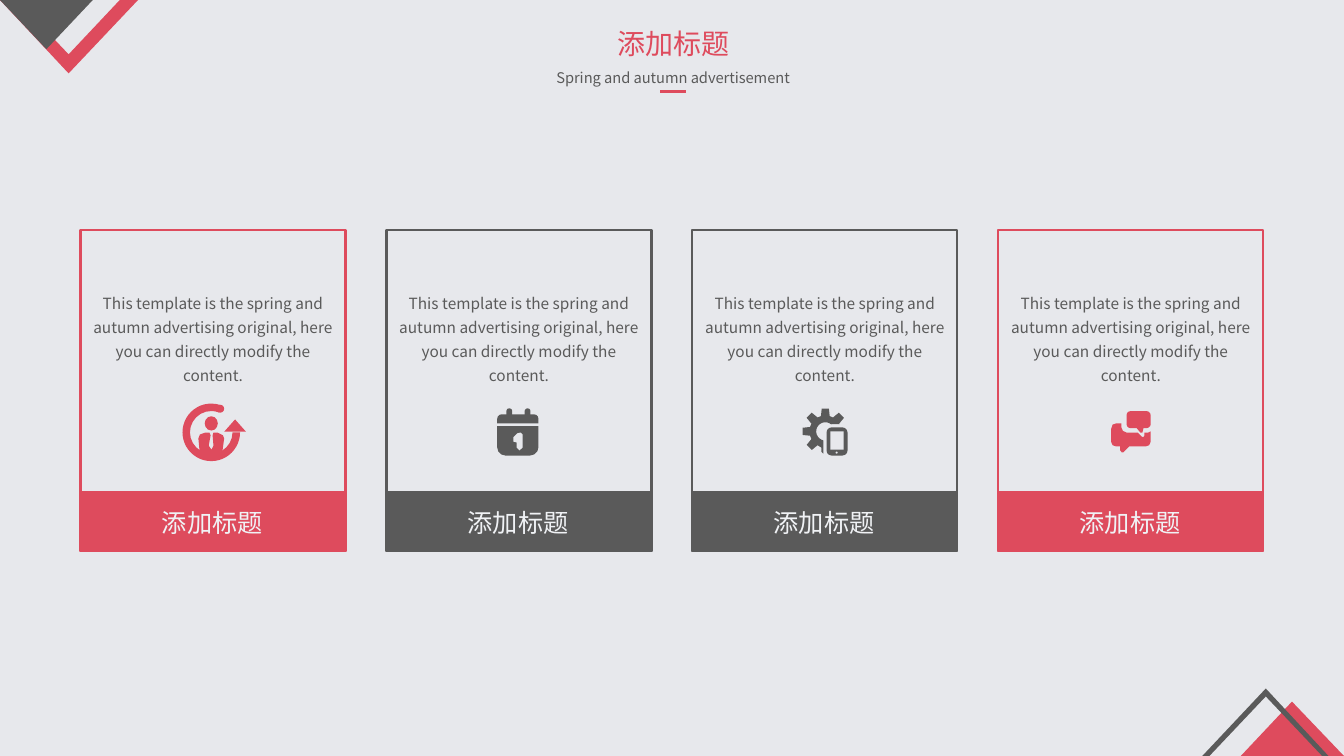
from math import cos, radians, sin

from lxml import etree
from pptx import Presentation
from pptx.dml.color import RGBColor
from pptx.enum.shapes import MSO_CONNECTOR as Line, MSO_SHAPE as Shape
from pptx.enum.text import MSO_ANCHOR as Anchor, MSO_AUTO_SIZE as AutoSize, PP_ALIGN as Align
from pptx.oxml.ns import qn
from pptx.util import Cm, Pt

RED, GREY, PAPER, WHITE = "DE4B5D", "5A5A5A", "E7E8EC", "F0F2F5"
FONT = "Noto Sans CJK SC"
WIDTH, HEIGHT = 33.87, 19.05
CARD_LEFT, CARD_TOP, CARD_W, CARD_H = 2.03, 5.79, 6.68, 8.1
BAND_TOP, BAND_H = 12.39, 1.5
LABEL = "添加标题"
BODY = ("This template is the spring and autumn advertising original, "
        "here you can directly modify the content.")


def rgb(value):
    return RGBColor.from_string(value)


def polar(center, radius, angle):
    return (center[0] + radius * cos(radians(angle)),
            center[1] + radius * sin(radians(angle)))


class Deck:
    """Holds the presentation, the current slide and the house style."""

    def __init__(self):
        self.prs = Presentation()
        self.prs.slide_width, self.prs.slide_height = Cm(WIDTH), Cm(HEIGHT)
        self.s = self.prs.slides.add_slide(self.prs.slide_layouts[5])
        self.s.background.fill.solid()
        self.s.background.fill.fore_color.rgb = rgb(PAPER)
        self.x0 = 0  # left edge that shapes are measured from

    def paint(self, sp, fill, line=None):
        sp.shadow.inherit = False
        if fill:
            sp.fill.solid()
            sp.fill.fore_color.rgb = rgb(fill)
        else:
            sp.fill.background()
        if line:
            sp.line.color.rgb = rgb(line)
            sp.line.width = Pt(1.5)
        else:
            sp.line.fill.background()

    def shape(self, kind, x, y, w, h, fill, line=None, adjust=()):
        sp = self.s.shapes.add_shape(kind, Cm(self.x0 + x), Cm(y), Cm(w), Cm(h))
        for i, value in enumerate(adjust):
            sp.adjustments[i] = value
        self.paint(sp, fill, line)

    def outline(self, points, fill):
        pts = [(Cm(self.x0 + x), Cm(y)) for x, y in points]
        builder = self.s.shapes.build_freeform(*pts[0])
        builder.add_line_segments(pts[1:], close=True)
        self.paint(builder.convert_to_shape(), fill)

    def set_text(self, sp, text, size, color, wrap=True, spacing=None, align=Align.CENTER):
        tf = sp.text_frame
        frame = {"word_wrap": wrap, "auto_size": AutoSize.NONE, "vertical_anchor": Anchor.TOP}
        for name, value in frame.items():
            setattr(tf, name, value)
        p = tf.paragraphs[0]
        p.alignment, p.line_spacing = align, spacing
        r = p.add_run()
        r.text = text
        for name, value in {"name": FONT, "size": Pt(size)}.items():
            setattr(r.font, name, value)
        r.font.color.rgb = rgb(color)
        etree.SubElement(r._r.get_or_add_rPr(), qn("a:ea"), typeface=FONT)

    def title(self, text, x, y, w, h, size, color):
        sp = self.s.shapes.title
        box = {"left": x, "top": y, "width": w, "height": h}
        for name, value in box.items():
            setattr(sp, name, Cm(value))
        self.set_text(sp, text, size, color, wrap=False)

    def text(self, text, x, y, w, h, size, color, **style):
        sp = self.s.shapes.add_textbox(Cm(self.x0 + x), Cm(y), Cm(w), Cm(h))
        self.set_text(sp, text, size, color, **style)

    def rule(self, x1, x2, y, color, width):
        c = self.s.shapes.add_connector(Line.STRAIGHT, Cm(x1), Cm(y), Cm(x2), Cm(y))
        c.line.color.rgb = rgb(color)
        c.line.width = Pt(width)
        etree.SubElement(c._element.spPr, qn("a:effectLst"))


def person_icon(d, color):
    d.outline([(2.97, 11.05), (3.01, 10.95), (3.15, 10.9), (3.25, 10.9), (3.28, 10.97),
               (3.23, 11.23), (3.3, 11.33), (3.35, 11.23), (3.33, 10.97), (3.35, 10.9),
               (3.45, 10.9), (3.59, 10.97), (3.62, 11.05), (3.58, 11.35), (3.47, 11.43),
               (3.3, 11.48), (3.12, 11.43), (3, 11.35)], color)
    d.shape(Shape.OVAL, 3.13, 10.49, 0.33, 0.36, color)
    # angles are in 60000ths of a degree, scaled by 100000
    d.shape(Shape.BLOCK_ARC, 2.57, 10.17, 1.45, 1.45, color, adjust=(0, 291 * 0.6, 0.13))
    d.shape(Shape.OVAL, 3.42, 10.2, 0.2, 0.2, color)
    d.shape(Shape.ISOSCELES_TRIANGLE, 3.62, 10.57, 0.55, 0.31, color)


def calendar_icon(d, color):
    d.shape(Shape.ROUND_2_SAME_RECTANGLE, 2.79, 10.74, 1.04, 0.74, color, adjust=(0, 0.28))
    d.shape(Shape.ROUND_2_SAME_RECTANGLE, 2.79, 10.44, 1.04, 0.23, color, adjust=(0.5, 0))
    for ring_x in (3.02, 3.48):
        d.shape(Shape.ROUNDED_RECTANGLE, ring_x, 10.29, 0.15, 0.25, color, adjust=(0.5,))
    d.outline([(3.28, 11.15), (3.2, 11.13), (3.2, 11.02), (3.3, 10.92), (3.38, 10.9),
               (3.43, 10.95), (3.43, 11.28), (3.35, 11.35), (3.28, 11.28)], PAPER)


def gear_phone_icon(d, color):
    center = (3.35, 10.87)
    tooth = [(-16, 0.4), (-9, 0.58), (9, 0.58), (16, 0.4)]
    teeth = [polar(center, radius, a + da) for a in range(135, 316, 45) for da, radius in tooth]
    hub = [polar(center, 0.23, a) for a in range(310, 100, -15)]
    d.outline([(3.3, 11.1), (3.3, 11.43), (3.25, 11.38), (3.25, 11.28), *teeth,
               (3.71, 10.69), (3.51, 10.69), *hub], color)
    d.shape(Shape.ROUNDED_RECTANGLE, 3.38, 10.77, 0.53, 0.71, color, adjust=(0.24,))
    d.shape(Shape.RECTANGLE, 3.48, 10.87, 0.33, 0.46, PAPER)
    d.shape(Shape.OVAL, 3.61, 11.38, 0.05, 0.05, PAPER)


def chat_icon(d, color):
    d.shape(Shape.ROUNDED_RECTANGLE, 3.23, 10.36, 0.61, 0.43, color, adjust=(0.24,))
    d.outline([(3.48, 10.78), (3.58, 10.9), (3.63, 10.9), (3.66, 10.78)], color)
    d.outline([(3.68, 10.9), (3.68, 10.98), (3.65, 11.02), (3.61, 11), (3.51, 10.9),
               (3.23, 10.9), (3.14, 10.86), (3.1, 10.77), (3.1, 10.67), (2.97, 10.67),
               (2.88, 10.7), (2.84, 10.82), (2.84, 11.13), (2.88, 11.22), (2.97, 11.25),
               (3.07, 11.25), (3.07, 11.35), (3.11, 11.4), (3.15, 11.4), (3.3, 11.25),
               (3.71, 11.25), (3.8, 11.22), (3.84, 11.13), (3.84, 10.87), (3.78, 10.9)], color)


def corners(d):
    d.outline([(1.73, 1.85), (3.48, 0), (3.02, 0), (1.73, 1.37), (0.43, 0), (0, 0)], RED)
    d.outline([(1.17, 1.24), (2.34, 0), (0, 0)], GREY)
    d.outline([(32.56, 17.68), (31.27, HEIGHT), (WIDTH, HEIGHT)], RED)
    d.outline([(33.48, HEIGHT), (33.32, HEIGHT), (31.9, 17.55), (30.48, HEIGHT),
               (30.3, HEIGHT), (31.9, 17.35)], GREY)


def card(d, color, icon):
    d.shape(Shape.RECTANGLE, 0, CARD_TOP, CARD_W, CARD_H, None, color)
    d.shape(Shape.RECTANGLE, 0, BAND_TOP, CARD_W, BAND_H, color, color)
    d.text(LABEL, 1.8, 12.65, 3.05, 1.02, 18, WHITE, wrap=False, align=Align.LEFT)
    d.text(BODY, 0, 7.14, CARD_W, 2.69, 11, GREY, spacing=1.3)
    icon(d, color)


def main():
    d = Deck()
    corners(d)
    d.title(LABEL, 15.29, 0.53, 3.35, 1.12, 20, RED)
    d.text("Spring and autumn advertisement", 12.52, 1.47, 8.89, 0.79, 10.5, GREY, spacing=1.3)
    d.rule(16.64, 17.3, 2.31, RED, 1.75)
    cards = [(RED, person_icon), (GREY, calendar_icon), (GREY, gear_phone_icon), (RED, chat_icon)]
    step = (WIDTH - 2 * CARD_LEFT - CARD_W) / (len(cards) - 1)
    for i, (color, icon) in enumerate(cards):
        d.x0 = CARD_LEFT + i * step
        card(d, color, icon)
    d.prs.save("out.pptx")


if __name__ == "__main__":
    main()
